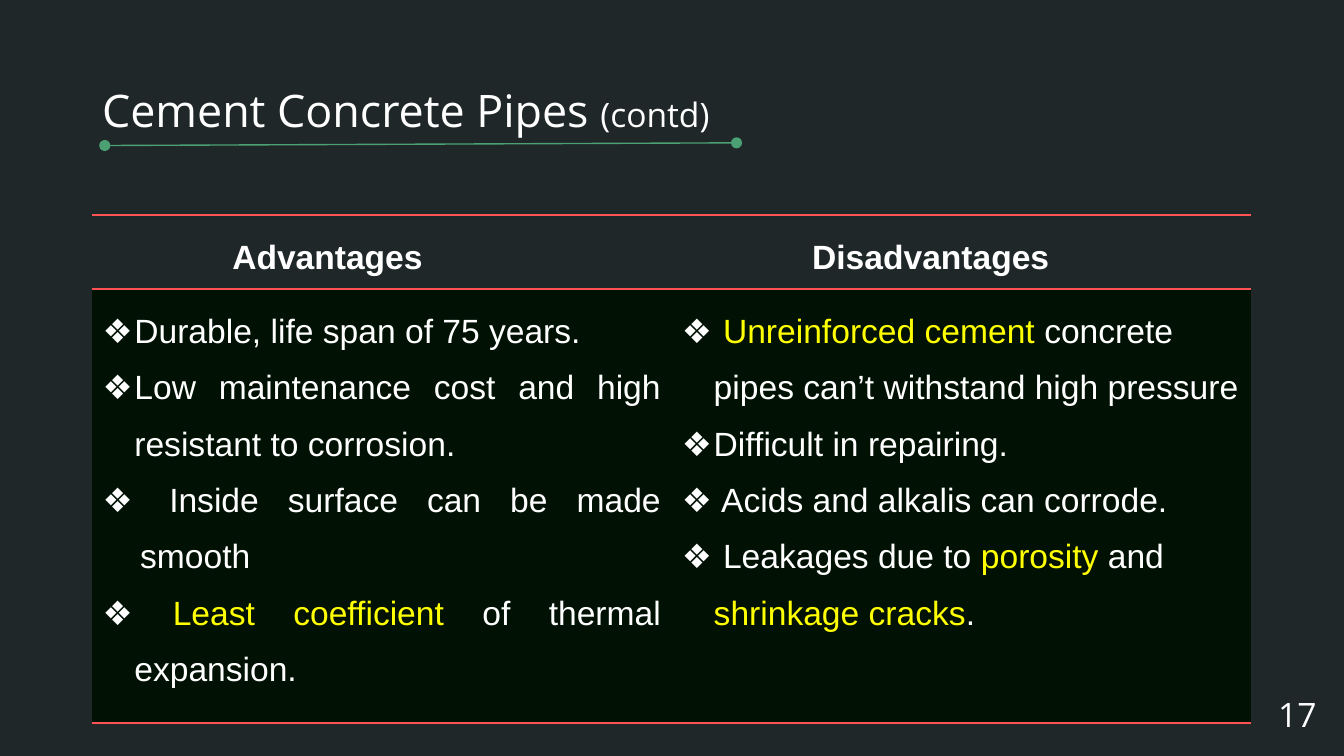
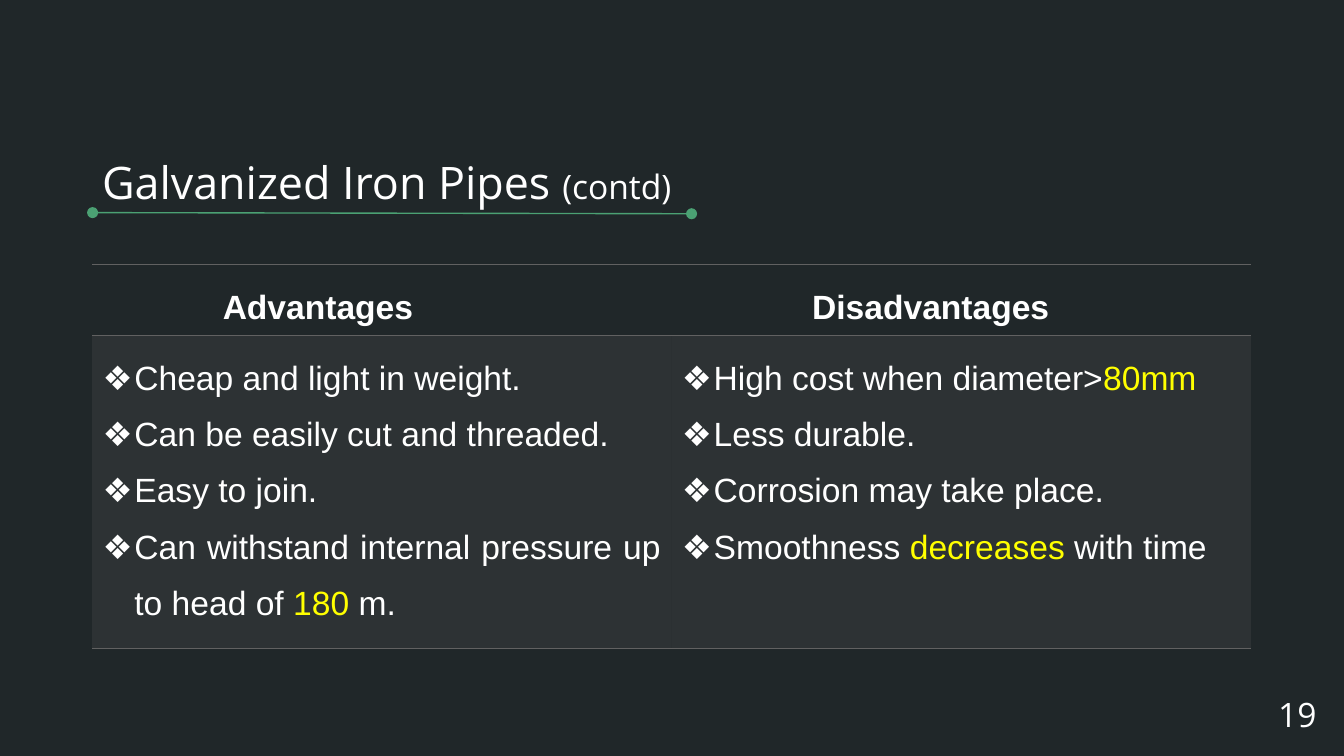
from lxml.etree import SubElement
from pptx import Presentation
from pptx.dml.color import RGBColor
from pptx.enum.shapes import MSO_CONNECTOR as CONN
from pptx.enum.text import MSO_ANCHOR as ANCHOR, PP_ALIGN as ALIGN
from pptx.oxml.ns import qn
from pptx.util import Cm, Pt

BACK, WHITE, YELLOW, GREEN = "202729", "FFFFFF", "FFFF00", "4BA173"
RED, GREY, BLACK = "FF5252", "616161", "011205"
HEAD_FONT, BODY_FONT = "Open Sans", "Arial"
LEFT, WIDTH = 1.74, 21.9


def rgb(color):
    return RGBColor.from_string(color)


def add_xml(parent, tag, **attrs):
    return SubElement(parent, qn(tag), {k: str(v) for k, v in attrs.items()})


class Deck:
    def __init__(self):
        self.prs = Presentation()
        self.prs.slide_width, self.prs.slide_height = Cm(25.4), Cm(14.29)
        self.s = None

    def slide(self):
        self.s = self.prs.slides.add_slide(self.prs.slide_layouts[6])
        fill = self.s.background.fill
        fill.solid()
        fill.fore_color.rgb = rgb(BACK)

    def font(self, item, name, size, bold=False, color=WHITE):
        """Set the font of a paragraph or a run."""
        item.font.name, item.font.size, item.font.bold = name, Pt(size), bold
        item.font.color.rgb = rgb(color)

    def text(self, x, y, w, h, text, size, align=ALIGN.LEFT):
        tf = self.s.shapes.add_textbox(Cm(x), Cm(y), Cm(w), Cm(h)).text_frame
        tf.word_wrap = True
        tf.vertical_anchor = ANCHOR.MIDDLE
        tf.margin_left = tf.margin_right = Cm(0.19)
        tf.margin_top = tf.margin_bottom = Cm(0.1)
        p = tf.paragraphs[0]
        p.alignment = align
        p.add_run().text = text
        self.font(p, HEAD_FONT, size)
        return p

    def title(self, y, h, text):
        p = self.text(LEFT, y, WIDTH, h, text + " ", 24)
        r = p.add_run()
        r.text = "(contd)"
        r.font.size = Pt(18)

    def number(self, number):
        self.text(23.55, 12.95, 1.52, 1.09, str(number), 18, ALIGN.RIGHT)

    def underline(self, x1, y1, x2, y2):
        sp = self.s.shapes.add_connector(
            CONN.STRAIGHT, Cm(x1), Cm(y1), Cm(x2), Cm(y2))
        sp.line.color.rgb = rgb(GREEN)
        sp.line.width = Pt(0.75)
        ln = sp.line._get_or_add_ln()
        add_xml(ln, "a:headEnd", type="oval")
        add_xml(ln, "a:tailEnd", type="oval")
        add_xml(sp._element.spPr, "a:effectLst")

    def cell_style(self, cell, rule, fill=None, alpha=None):
        """Rule the cell above and below only, then fill it."""
        cell.margin_left = cell.margin_right = Cm(0.2)
        cell.margin_top = cell.margin_bottom = Cm(0.1)
        tcPr = cell._tc.get_or_add_tcPr()
        for side in "LRTB":
            ln = add_xml(tcPr, f"a:ln{side}", w=Pt(1))
            if side in "LR":
                add_xml(ln, "a:noFill")
            else:
                add_xml(add_xml(ln, "a:solidFill"), "a:srgbClr", val=rule)
        if fill is None:
            add_xml(tcPr, "a:noFill")
            return
        color = add_xml(add_xml(tcPr, "a:solidFill"), "a:srgbClr", val=fill)
        if alpha:
            add_xml(color, "a:alpha", val=alpha * 1000)

    def cell_run(self, p, text, bold=False, color=WHITE):
        """Add a run with its own font, so that rows grow by its height."""
        r = p.add_run()
        r.text = text
        self.font(r, BODY_FONT, 18, bold, color)

    def heading(self, cell, text, indent):
        p = cell.text_frame.paragraphs[0]
        p._p.get_or_add_pPr().set("marL", str(Cm(indent)))
        p.line_spacing = 1.5
        self.cell_run(p, text, bold=True)

    def bullets(self, cell, items, align):
        """Fill a cell with bullets; words between asterisks turn yellow."""
        tf = cell.text_frame
        for i, item in enumerate(items):
            p = tf.add_paragraph() if i else tf.paragraphs[0]
            hang = Cm(0.71 if item.startswith(" Inside") else 0.6)
            pPr = p._p.get_or_add_pPr()
            pPr.set("marL", str(hang))
            pPr.set("indent", str(-hang))
            add_xml(add_xml(pPr, "a:buClr"), "a:srgbClr", val=WHITE)
            add_xml(pPr, "a:buSzPct", val=100000)
            add_xml(pPr, "a:buFont", typeface=BODY_FONT)
            add_xml(pPr, "a:buChar", char="❖")
            p.alignment = align
            p.line_spacing = 1.5
            for j, part in enumerate(item.split("*")):
                if part:
                    self.cell_run(p, part, color=YELLOW if j % 2 else WHITE)

    def comparison(self, y, heights, indents, pros, cons, rule, fill, alpha=None):
        table = self.s.shapes.add_table(
            2, 2, Cm(LEFT), Cm(y), Cm(WIDTH), Cm(sum(heights))).table
        table.first_row = table.horz_banding = False
        for row, height in zip(table.rows, heights):
            row.height = Cm(height)
        columns = (("Advantages", pros, ALIGN.JUSTIFY),
                   ("Disadvantages", cons, ALIGN.LEFT))
        for i, (name, items, align) in enumerate(columns):
            head, body = table.cell(0, i), table.cell(1, i)
            self.cell_style(head, rule)
            self.cell_style(body, rule, fill, alpha)
            self.heading(head, name, indents[i])
            self.bullets(body, items, align)


def cement_pipes(deck):
    deck.slide()
    deck.title(1.27, 1.6, "Cement Concrete Pipes")
    deck.comparison(
        4.06, (1.4, 7.64), (2.45, 2.46),
        ["Durable, life span of 75 years.",
         "Low maintenance cost and high resistant to corrosion. ",
         " Inside surface can be made smooth",
         " *Least coefficient *of thermal expansion."],
        [" *Unreinforced cement *concrete pipes can’t withstand high pressure",
         "Difficult in repairing.",
         " Acids and alkalis can corrode.",
         " Leakages due to *porosity* and *shrinkage cracks*."],
        RED, BLACK)
    deck.number(17)
    deck.underline(1.98, 2.75, 13.92, 2.7)


def iron_pipes(deck):
    deck.slide()
    deck.title(2.39, 2.1, "Galvanized Iron Pipes")
    deck.comparison(
        5, (1.25, 5.52), (2.27, 2.46),
        ["Cheap and light in weight.",
         "Can be easily cut and threaded.",
         "Easy to join.",
         "Can withstand internal pressure up to head of *180* m."],
        ["High cost when diameter>*80mm*",
         "Less durable.",
         "Corrosion may take place.",
         "Smoothness *decreases *with time"],
        GREY, GREY, alpha=20)
    deck.number(19)
    deck.underline(1.75, 4.02, 13.07, 4.04)


def main():
    deck = Deck()
    cement_pipes(deck)
    iron_pipes(deck)
    deck.prs.save("out.pptx")


if __name__ == "__main__":
    main()
